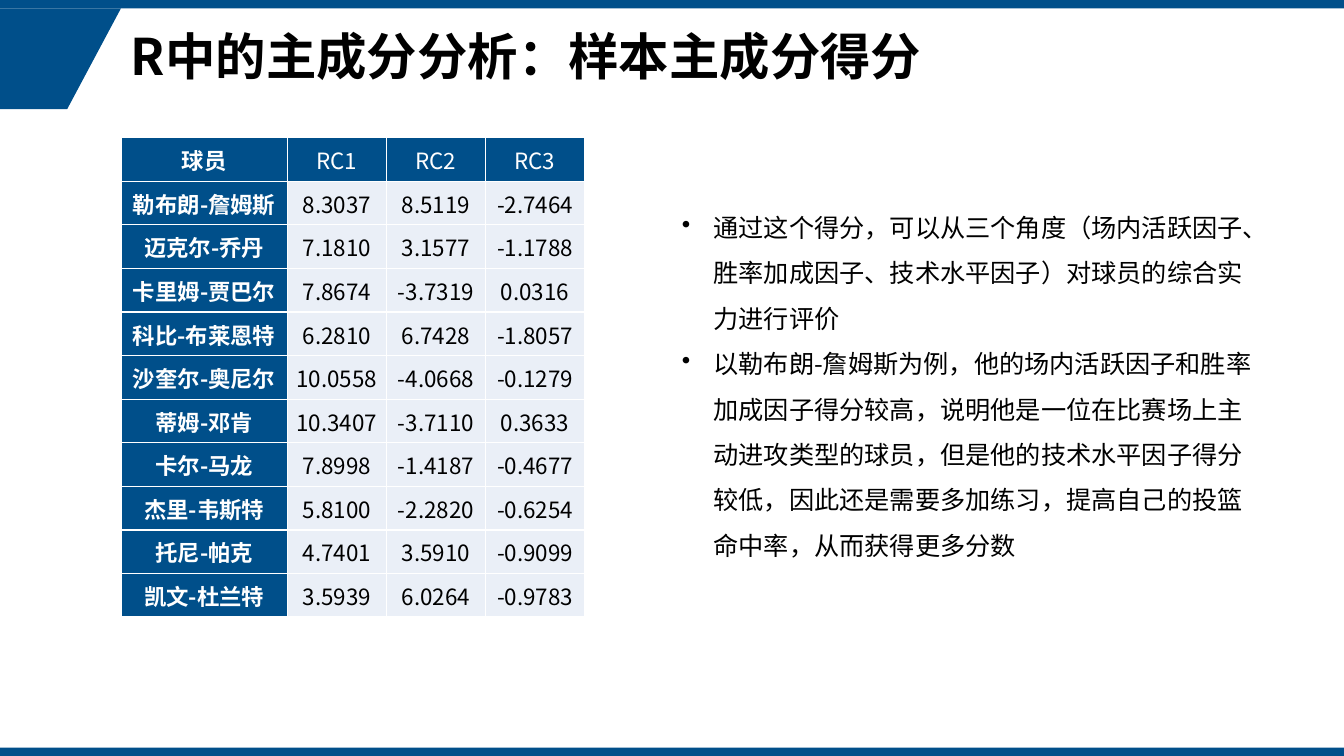
import dataclasses

import lxml.etree
import pptx
import pptx.dml.color
import pptx.enum.shapes
import pptx.enum.text
import pptx.oxml.ns
import pptx.util

FONT = "Noto Sans CJK SC"
COLOURS = {"blue": "004F8A", "pale": "EAEFF7", "white": "FFFFFF", "black": "000000"}

# The slide is a grid of 160 columns by 90 rows of square units
UNIT = pptx.util.Inches(1) / 12
COLUMNS, ROWS = 160, 90
MARGIN = 14.4
NAME_COLUMN, SCORE_COLUMN, TABLE_ROW = 19.8, 11.8, 5.19
BULLET_INDENT = 3.75

TITLE = "R中的主成分分析：样本主成分得分"
COMMENTS = (
    "通过这个得分，可以从三个角度（场内活跃因子、胜率加成因子、技术水平因子）对球员的综合实力进行评价",
    "以勒布朗-詹姆斯为例，他的场内活跃因子和胜率加成因子得分较高，说明他是一位在比赛场上主动进攻类型的球员，"
    "但是他的技术水平因子得分较低，因此还是需要多加练习，提高自己的投篮命中率，从而获得更多分数",
)
SCORES = (
    ("球员", "RC1", "RC2", "RC3"),
    ("勒布朗-詹姆斯", "8.3037", "8.5119", "-2.7464"),
    ("迈克尔-乔丹", "7.1810", "3.1577", "-1.1788"),
    ("卡里姆-贾巴尔", "7.8674", "-3.7319", "0.0316"),
    ("科比-布莱恩特", "6.2810", "6.7428", "-1.8057"),
    ("沙奎尔-奥尼尔", "10.0558", "-4.0668", "-0.1279"),
    ("蒂姆-邓肯", "10.3407", "-3.7110", "0.3633"),
    ("卡尔-马龙", "7.8998", "-1.4187", "-0.4677"),
    ("杰里-韦斯特", "5.8100", "-2.2820", "-0.6254"),
    ("托尼-帕克", "4.7401", "3.5910", "-0.9099"),
    ("凯文-杜兰特", "3.5939", "6.0264", "-0.9783"),
)


@dataclasses.dataclass(frozen=True)
class Area:
    left: float
    top: float
    width: float
    height: float

    def box(self) -> tuple:
        return tuple(grid(value) for value in (self.left, self.top, self.width, self.height))


@dataclasses.dataclass(frozen=True)
class TextStyle:
    size: int
    colour: str
    bold: bool = False


BARS = (Area(0, 0, COLUMNS, 1), Area(0, ROWS - 1, COLUMNS, 1))
TITLE_AREA = Area(MARGIN, 1, 134.6, 12)
COMMENT_AREA = Area(80, 22.9, 71.2, 44.2)
TABLE_AREA = Area(MARGIN, 16.4, NAME_COLUMN + 3 * SCORE_COLUMN, TABLE_ROW * len(SCORES))


def grid(units: float) -> int:
    return round(units * UNIT)


def rgb(colour: str) -> pptx.dml.color.RGBColor:
    return pptx.dml.color.RGBColor.from_string(COLOURS[colour])


def add_run(paragraph, text: str, style: TextStyle) -> None:
    run = paragraph.add_run()
    run.text = text
    run.font.size = pptx.util.Pt(style.size)
    run.font.bold = style.bold
    run.font.color.rgb = rgb(style.colour)
    run.font.name = FONT
    east_asian = lxml.etree.Element(pptx.oxml.ns.qn("a:ea"), typeface=FONT)
    run.font._element.find(pptx.oxml.ns.qn("a:latin")).addnext(east_asian)


def paint(shape) -> None:
    shape.shadow.inherit = False
    shape.fill.solid()
    shape.fill.fore_color.rgb = rgb("blue")
    shape.line.fill.background()


def add_frame(slide) -> None:
    builder = slide.shapes.build_freeform(0, grid(1))
    corners = ((MARGIN, 1), (8, 13), (0, 13))
    builder.add_line_segments([(grid(x), grid(y)) for x, y in corners], close=True)
    paint(builder.convert_to_shape())
    for bar in BARS:
        paint(slide.shapes.add_shape(pptx.enum.shapes.MSO_SHAPE.RECTANGLE, *bar.box()))


def add_title(slide) -> None:
    frame = slide.shapes.add_textbox(*TITLE_AREA.box()).text_frame
    frame.word_wrap = True
    frame.vertical_anchor = pptx.enum.text.MSO_ANCHOR.MIDDLE
    frame.paragraphs[0].line_spacing = 0.9
    add_run(frame.paragraphs[0], TITLE, TextStyle(36, "black", True))


def add_comments(slide) -> None:
    frame = slide.shapes.add_textbox(*COMMENT_AREA.box()).text_frame
    frame.word_wrap = True
    frame.auto_size = pptx.enum.text.MSO_AUTO_SIZE.SHAPE_TO_FIT_TEXT
    for index, comment in enumerate(COMMENTS):
        paragraph = frame.add_paragraph() if index else frame.paragraphs[0]
        properties = paragraph._p.get_or_add_pPr()
        properties.set("marL", str(grid(BULLET_INDENT)))
        properties.set("indent", str(-grid(BULLET_INDENT)))
        lxml.etree.SubElement(properties, pptx.oxml.ns.qn("a:buChar"), char="•")
        paragraph.line_spacing = 1.5
        add_run(paragraph, comment, TextStyle(18, "black"))


def add_borders(cell) -> None:
    properties = cell._tc.get_or_add_tcPr()
    for index, side in enumerate(("lnL", "lnR", "lnT", "lnB")):
        line = lxml.etree.Element(pptx.oxml.ns.qn(f"a:{side}"), w=str(pptx.util.Pt(1)))
        fill = lxml.etree.SubElement(line, pptx.oxml.ns.qn("a:solidFill"))
        lxml.etree.SubElement(fill, pptx.oxml.ns.qn("a:srgbClr"), val=COLOURS["white"])
        properties.insert(index, line)


def fill_cell(cell, text: str, fill: str, style: TextStyle) -> None:
    cell.margin_left = cell.margin_right = cell.margin_top = pptx.util.Inches(0.01)
    cell.margin_bottom = 0
    cell.vertical_anchor = pptx.enum.text.MSO_ANCHOR.MIDDLE
    cell.fill.solid()
    cell.fill.fore_color.rgb = rgb(fill)
    add_borders(cell)
    paragraph = cell.text_frame.paragraphs[0]
    paragraph.alignment = pptx.enum.text.PP_ALIGN.CENTER
    add_run(paragraph, text, style)


def add_scores(slide) -> None:
    table = slide.shapes.add_table(len(SCORES), len(SCORES[0]), *TABLE_AREA.box()).table
    for index, column in enumerate(table.columns):
        column.width = grid(SCORE_COLUMN if index else NAME_COLUMN)
    for row in table.rows:
        row.height = grid(TABLE_ROW)
    for row_index, record in enumerate(SCORES):
        for column_index, text in enumerate(record):
            heading = row_index == 0 or column_index == 0
            style = TextStyle(16, "white" if heading else "black", column_index == 0)
            fill = "blue" if heading else "pale"
            fill_cell(table.cell(row_index, column_index), text, fill, style)


def main() -> None:
    presentation = pptx.Presentation()
    presentation.slide_width = grid(COLUMNS)
    presentation.slide_height = grid(ROWS)
    slide = presentation.slides.add_slide(presentation.slide_layouts[6])
    # Blue corner and bars
    add_frame(slide)
    # Title, comments and score table
    add_title(slide)
    add_comments(slide)
    add_scores(slide)
    presentation.save("out.pptx")


if __name__ == "__main__":
    main()
